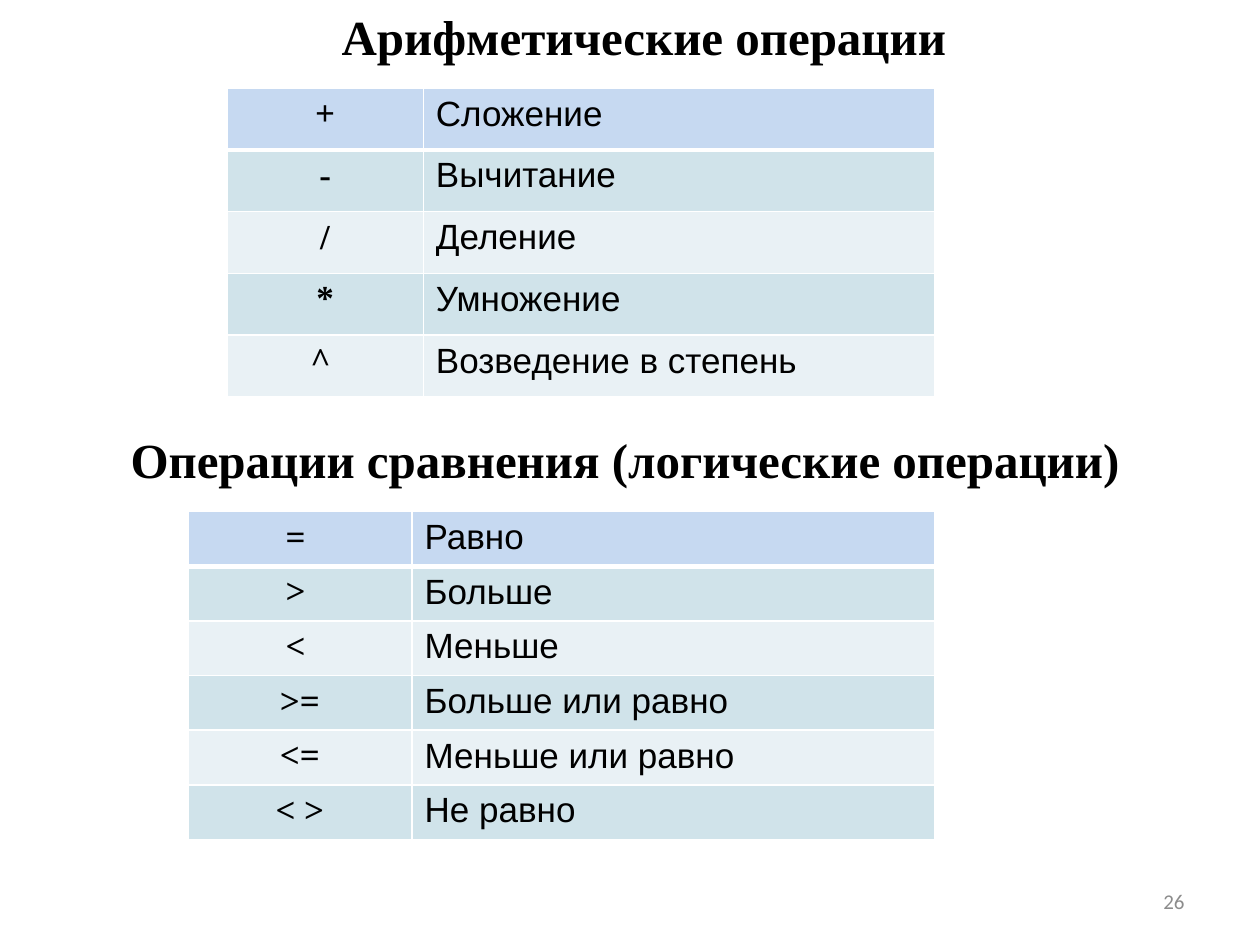
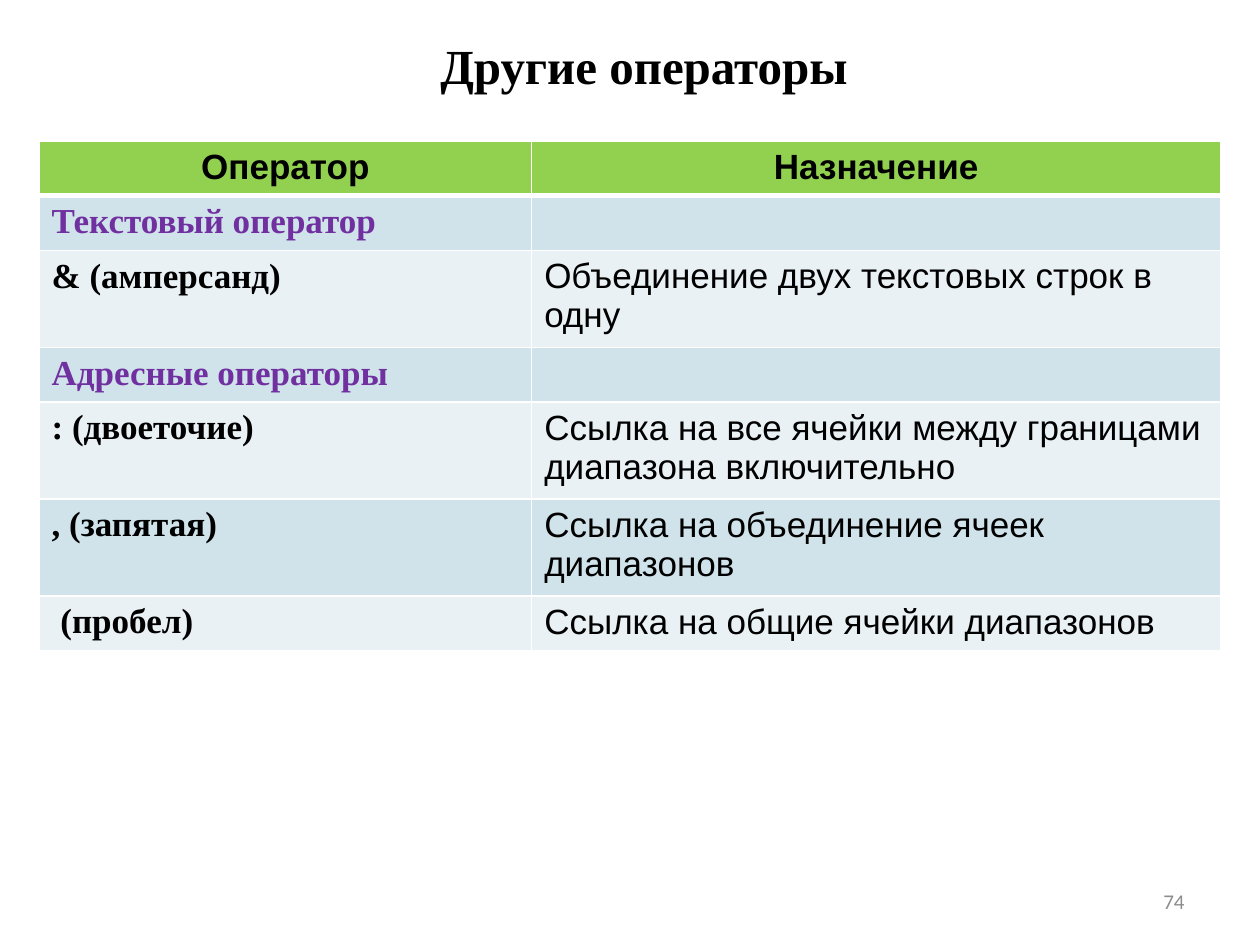
from dataclasses import dataclass

from lxml.etree import SubElement
from pptx import Presentation
from pptx.dml.color import RGBColor
from pptx.enum.text import MSO_ANCHOR, MSO_AUTO_SIZE, PP_ALIGN
from pptx.oxml.ns import qn
from pptx.slide import Slide
from pptx.table import _Cell
from pptx.text.text import TextFrame
from pptx.util import Inches, Pt


@dataclass(frozen=True)
class Theme:
    ink: str = "000000"
    border: str = "FFFFFF"
    blue_header: str = "C6D9F1"
    green_header: str = "92D050"
    bands: tuple[str, str] = ("D0E3EA", "E9F1F5")
    section: str = "7030A0"
    page_number: str = "8C8C8C"
    serif: str = "Times New Roman"
    sans: str = "Arial"
    footer_font: str = "Calibri"
    heading_size: int = 28
    table_size: int = 20
    footer_size: int = 12
    thin: int = 1
    thick: int = 3


THEME = Theme()
ROW_HEIGHT = 0.43
TWO_LINE_HEIGHT = 0.77


@dataclass(frozen=True)
class OperatorTable:
    left: float
    top: float
    widths: tuple[float, float]
    heights: tuple[float, ...]
    rows: tuple[tuple[str, str], ...]
    header_fill: str = THEME.blue_header
    titled: bool = False  # first row holds column titles
    symbol_align: PP_ALIGN = PP_ALIGN.CENTER


ARITHMETIC = OperatorTable(
    1.8, 0.7, (1.56, 4.06), (0.49,) * 5,
    (
        ("+", "Сложение"),
        ("-", "Вычитание"),
        ("/", "Деление"),
        ("*", "Умножение"),
        ("^ ", "Возведение в степень"),
    ),
)
COMPARISON = OperatorTable(
    1.49, 4.06, (1.78, 4.15), (ROW_HEIGHT,) * 6,
    (
        ("= ", "Равно"),
        ("> ", "Больше"),
        ("< ", "Меньше"),
        (">=", "Больше или равно"),
        ("<=", "Меньше или равно"),
        ("< >", "Не равно"),
    ),
)
OTHER = OperatorTable(
    0.31, 1.12, (3.91, 5.47),
    (ROW_HEIGHT, ROW_HEIGHT, TWO_LINE_HEIGHT, ROW_HEIGHT,
     TWO_LINE_HEIGHT, TWO_LINE_HEIGHT, ROW_HEIGHT),
    (
        ("Оператор", "Назначение"),
        ("Текстовый оператор", ""),
        ("& (амперсанд)", "Объединение двух текстовых строк в одну"),
        ("Адресные операторы", ""),
        (": (двоеточие)", "Ссылка на все ячейки между границами диапазона включительно"),
        (", (запятая)", "Ссылка на объединение ячеек диапазонов"),
        (" (пробел)", "Ссылка на общие ячейки диапазонов"),
    ),
    header_fill=THEME.green_header, titled=True, symbol_align=PP_ALIGN.LEFT,
)


def write(frame: TextFrame, text: str, *, font: str = THEME.sans,
          size: int = THEME.table_size, color: str = THEME.ink,
          bold: bool = False, align: PP_ALIGN = PP_ALIGN.LEFT) -> None:
    paragraph = frame.paragraphs[0]
    paragraph.alignment = align
    paragraph.font.size = Pt(size)
    if not text:
        return
    run = paragraph.add_run()
    run.text = text
    run.font.name = font
    run.font.size = Pt(size)
    run.font.bold = bold
    run.font.color.rgb = RGBColor.from_string(color)


def write_heading(frame: TextFrame, text: str) -> None:
    frame.word_wrap = True
    frame.auto_size = MSO_AUTO_SIZE.SHAPE_TO_FIT_TEXT
    frame.vertical_anchor = MSO_ANCHOR.TOP
    write(frame, text, font=THEME.serif, size=THEME.heading_size, bold=True,
          align=PP_ALIGN.CENTER)


def add_title(slide: Slide, text: str, top: float) -> None:
    title = slide.shapes.title
    title.left, title.top = Inches(0.62), Inches(top)
    title.width, title.height = Inches(8.98), Inches(0.57)
    write_heading(title.text_frame, text)


def add_subheading(slide: Slide, text: str, top: float) -> None:
    box = slide.shapes.add_textbox(Inches(0.47), Inches(top), Inches(8.98), Inches(0.57))
    write_heading(box.text_frame, text)


def add_page_number(slide: Slide, number: int) -> None:
    box = slide.shapes.add_textbox(Inches(7.17), Inches(6.95), Inches(2.33), Inches(0.4))
    box.text_frame.word_wrap = True
    box.text_frame.vertical_anchor = MSO_ANCHOR.MIDDLE
    write(box.text_frame, str(number), font=THEME.footer_font,
          size=THEME.footer_size, color=THEME.page_number, align=PP_ALIGN.RIGHT)


def format_cell(cell: _Cell, row: int, fill: str) -> None:
    """Draw the borders, with a thick rule under the first row, then the fill."""
    properties = cell._tc.get_or_add_tcPr()
    edges = {
        "a:lnL": THEME.thin,
        "a:lnR": THEME.thin,
        "a:lnT": THEME.thick if row == 1 else THEME.thin,
        "a:lnB": THEME.thick if row == 0 else THEME.thin,
    }
    for edge, width in edges.items():
        line = SubElement(properties, qn(edge), w=str(Pt(width)))
        SubElement(SubElement(line, qn("a:solidFill")), qn("a:srgbClr"), val=THEME.border)
    cell.fill.solid()
    cell.fill.fore_color.rgb = RGBColor.from_string(fill)


def add_operator_table(slide: Slide, content: OperatorTable) -> None:
    table = slide.shapes.add_table(
        len(content.rows), 2, Inches(content.left), Inches(content.top),
        Inches(sum(content.widths)), Inches(sum(content.heights))).table
    table.first_row = table.horz_banding = False
    for column, width in zip(table.columns, content.widths):
        column.width = Inches(width)

    for index, (symbol, meaning) in enumerate(content.rows):
        table.rows[index].height = Inches(content.heights[index])
        fill = THEME.bands[(index - 1) % 2] if index else content.header_fill
        symbol_cell, meaning_cell = table.cell(index, 0), table.cell(index, 1)
        for cell in (symbol_cell, meaning_cell):
            format_cell(cell, index, fill)
        if content.titled and index == 0:
            for cell, text in ((symbol_cell, symbol), (meaning_cell, meaning)):
                write(cell.text_frame, text, bold=True, align=PP_ALIGN.CENTER)
            continue
        write(symbol_cell.text_frame, symbol, font=THEME.serif, bold=True,
              color=THEME.ink if meaning else THEME.section,
              align=content.symbol_align)
        write(meaning_cell.text_frame, meaning)


def main() -> None:
    deck = Presentation()
    deck.slide_width, deck.slide_height = Inches(10), Inches(7.5)
    title_only = deck.slide_layouts[5]

    operations = deck.slides.add_slide(title_only)
    add_title(operations, "Арифметические операции", 0)
    add_page_number(operations, 26)
    add_subheading(operations, "Операции сравнения (логические операции)", 3.36)
    add_operator_table(operations, ARITHMETIC)
    add_operator_table(operations, COMPARISON)

    other_operators = deck.slides.add_slide(title_only)
    add_title(other_operators, "Другие операторы", 0.23)
    add_operator_table(other_operators, OTHER)
    add_page_number(other_operators, 74)

    deck.save("out.pptx")


if __name__ == "__main__":
    main()
